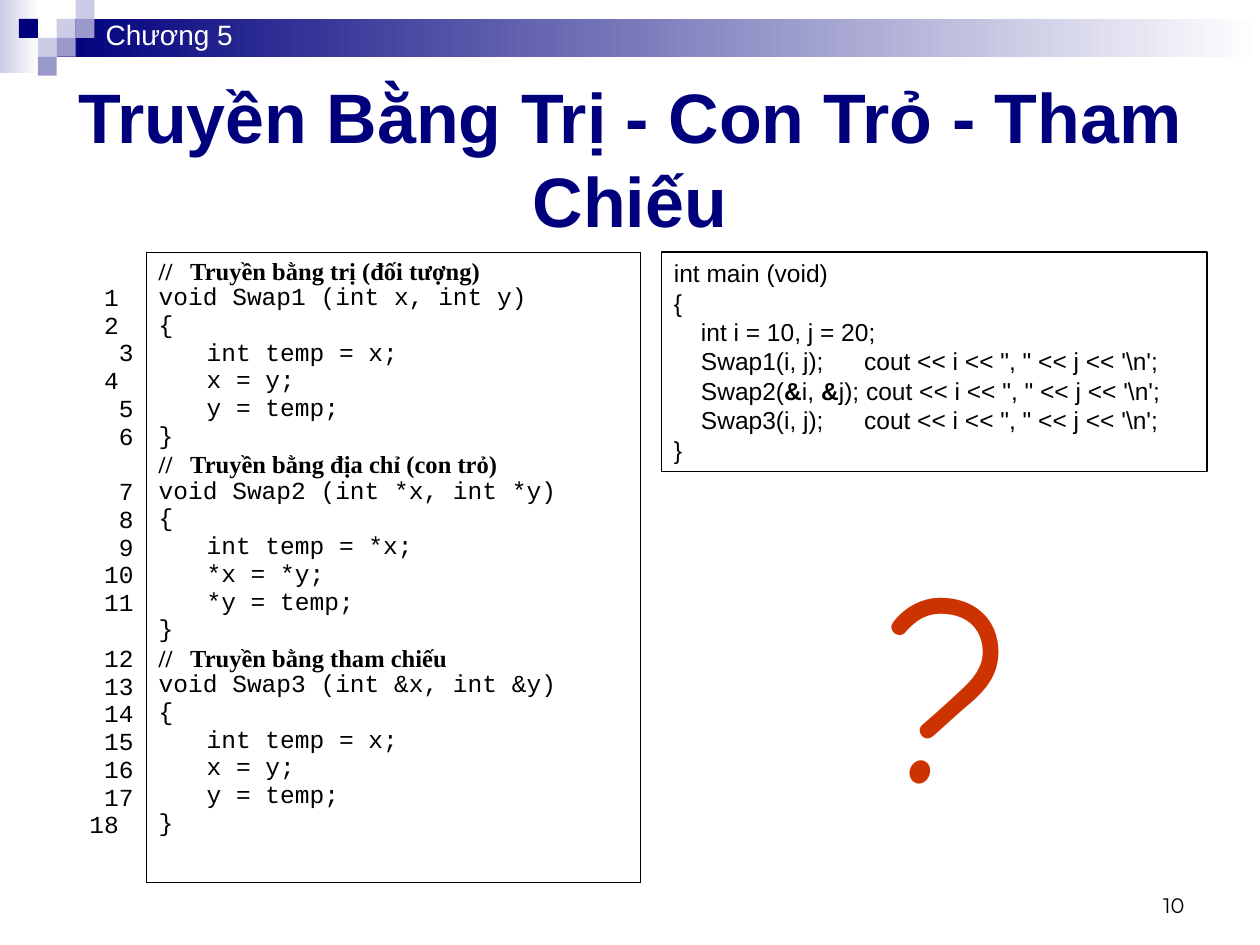
from dataclasses import dataclass

from lxml.etree import SubElement
from pptx import Presentation
from pptx.dml.color import RGBColor
from pptx.enum.shapes import MSO_SHAPE
from pptx.enum.text import MSO_ANCHOR, PP_ALIGN
from pptx.oxml.ns import qn
from pptx.util import Inches, Pt


@dataclass(frozen=True)
class Theme:
    navy: str = "00007D"
    mid: str = "9999CC"
    pale: str = "CCCCE6"
    white: str = "FFFFFF"
    black: str = "000000"
    red: str = "CC3300"
    sans: str = "Arial"
    mono: str = "Courier New"
    serif: str = "Times New Roman"
    comic: str = "Comic Neue"
    page: str = "Montserrat"
    title: int = 40
    code: int = 14
    head: int = 16
    mark: int = 150
    foot: int = 12
    rule: float = 0.45
    frame: float = 0.75


T = Theme()
COLS, ROWS = 100, 75  # grid of the slide
UNIT = Inches(10) / COLS


@dataclass(frozen=True)
class Box:
    """An area in grid columns and rows."""
    x: float
    y: float
    w: float
    h: float

    def emu(self):
        return [round(n * UNIT) for n in (self.x, self.y, self.w, self.h)]

    def sub(self, x, y, w, h):
        return Box(self.x + x, self.y + y, w, h)


def rgb(code):
    return RGBColor.from_string(code)


def stops(para, *cols):
    """Set left tab stops, in grid columns."""
    tabs = SubElement(para._p.get_or_add_pPr(), qn("a:tabLst"))
    for col in cols:
        SubElement(tabs, qn("a:tab"), pos=str(round(col * UNIT)), algn="l")


def write(frame, lines, font, size, color, align=PP_ALIGN.LEFT):
    """Fill a frame; a tuple line alternates plain and bold runs."""
    frame.word_wrap = True
    for i, line in enumerate(lines):
        para = frame.add_paragraph() if i else frame.paragraphs[0]
        para.alignment = align
        para.font.name, para.font.size = font, Pt(size)
        para.font.color.rgb = rgb(color)
        for j, text in enumerate((line,) if isinstance(line, str) else line):
            run = para.add_run()
            run.text = text
            if j % 2:
                run.font.bold = True
    return frame.paragraphs


def label(slide, box, text, font, size, color,
          align=PP_ALIGN.LEFT, anchor=MSO_ANCHOR.TOP):
    frame = slide.shapes.add_textbox(*box.emu()).text_frame
    frame.vertical_anchor = anchor
    return write(frame, [text], font, size, color, align)[0]


def rect(slide, box, *colors):
    """A plain rectangle: no fill, one colour, or a left-to-right blend."""
    shape = slide.shapes.add_shape(MSO_SHAPE.RECTANGLE, *box.emu())
    shape.shadow.inherit = False
    shape.line.fill.background()
    if len(colors) == 2:
        shape.fill.gradient()
        shape.fill.gradient_angle = 0
        for stop, color in zip(shape.fill.gradient_stops, colors):
            stop.color.rgb = rgb(color)
    elif colors:
        shape.fill.solid()
        shape.fill.fore_color.rgb = rgb(colors[0])
    else:
        shape.fill.background()
    return shape


def header(slide, box):
    # Blended bands
    rect(slide, box.sub(0, 0, 3.1, 5.8), T.pale, T.white)
    rect(slide, box.sub(4.5, 1.5, box.w - 4.5, 3), T.navy, T.white)
    # Checker squares as column, row, colour
    side = 1.5
    for col, row, color in ((3, 1, T.pale), (4, 0, T.pale), (4, 1, T.mid),
                            (2, 2, T.pale), (1, 1, T.navy), (3, 2, T.mid),
                            (2, 3, T.mid)):
        rect(slide, box.sub(col * side, row * side, side, side), color)
    label(slide, box.sub(7.4, 0.9, 17.5, 3.7), "Chương 5",
          T.sans, T.head, T.white)


def heading(slide, box):
    para = label(slide, box, "Truyền Bằng Trị - Con Trỏ - Tham Chiếu", T.sans,
                 T.title, T.navy, PP_ALIGN.CENTER, MSO_ANCHOR.MIDDLE)
    para.font.bold = True


def border(cell, sides):
    props = cell._tc.get_or_add_tcPr()
    for side in sides:
        line = SubElement(props, qn("a:ln" + side), w=str(Pt(T.rule)))
        fill = SubElement(line, qn("a:solidFill"))
        SubElement(fill, qn("a:srgbClr"), val=T.black)
    cell.fill.background()


def swap(num, note, mark, star=""):
    """Source lines of one swap function."""
    return [f"//\t{note}", f"void Swap{num} (int {mark}x, int {mark}y)", "{",
            f"\tint temp = {star}x;", f"\t{star}x = {star}y;",
            f"\t{star}y = temp;", "}"]


def listing(slide, box):
    table = slide.shapes.add_table(1, 2, *box.emu()).table
    table.first_row = table.horz_banding = False
    gutter = 8.3
    for col, width in zip(table.columns, (gutter, box.w - gutter)):
        col.width = round(width * UNIT)
    nums, code = table.cell(0, 0), table.cell(0, 1)
    border(nums, "R")
    border(code, "LRTB")

    # Line numbers, one line below the top, with a gap before 7 and 12
    nums.margin_top = Inches(0.27)
    marks = ["1 ", " 2 ", "3", " 4 ", *map(str, range(5, 18)), "18 "]
    paras = write(nums.text_frame, marks, T.mono, T.code, T.black,
                  PP_ALIGN.RIGHT)
    for num in (7, 12):
        paras[num - 1].space_before = Pt(16)

    # Code, with bold serif comments
    lines = (swap(1, "Truyền bằng trị (đối tượng)", "")
             + swap(2, "Truyền bằng địa chỉ (con trỏ)", "*", "*")
             + swap(3, "Truyền bằng tham chiếu", "&"))
    for para in write(code.text_frame, lines, T.mono, T.code, T.black):
        note = para.text.startswith("//")
        stops(para, 2.5 if note else 3.8)
        if note:
            para.font.name, para.font.bold = T.serif, True


def program(slide, box):
    shape = rect(slide, box)
    shape.line.color.rgb = rgb(T.black)
    shape.line.width = Pt(T.frame)
    shape.text_frame.vertical_anchor = MSO_ANCHOR.TOP
    out = "cout << i << \", \" << j << '\\n';"
    lines = ["int main (void)", "{", "\tint i = 10, j = 20;",
             f"\tSwap1(i, j);\t{out}",
             ("\tSwap2(", "&", "i, ", "&", f"j); {out}"),
             f"\tSwap3(i, j);\t{out}", "}"]
    for para in write(shape.text_frame, lines, T.sans, T.code, T.black):
        stops(para, 2.15, 15.1)


def main():
    deck = Presentation()
    deck.slide_width = round(COLS * UNIT)
    deck.slide_height = round(ROWS * UNIT)
    slide = deck.slides.add_slide(deck.slide_layouts[6])
    header(slide, Box(0, 0, COLS, 6))
    heading(slide, Box(5, 5, 90, 15))
    listing(slide, Box(3.3, 20, 47.5, 50))
    program(slide, Box(52.5, 20, 43.3, 17.4))
    # Question mark and page number
    label(slide, Box(69.2, 40.8, 30.8, 26), "?", T.comic, T.mark, T.red)
    label(slide, Box(71.7, 68.3, 23.3, 5), "10", T.page, T.foot, T.black,
          PP_ALIGN.RIGHT, MSO_ANCHOR.BOTTOM)
    deck.save("out.pptx")


if __name__ == "__main__":
    main()
